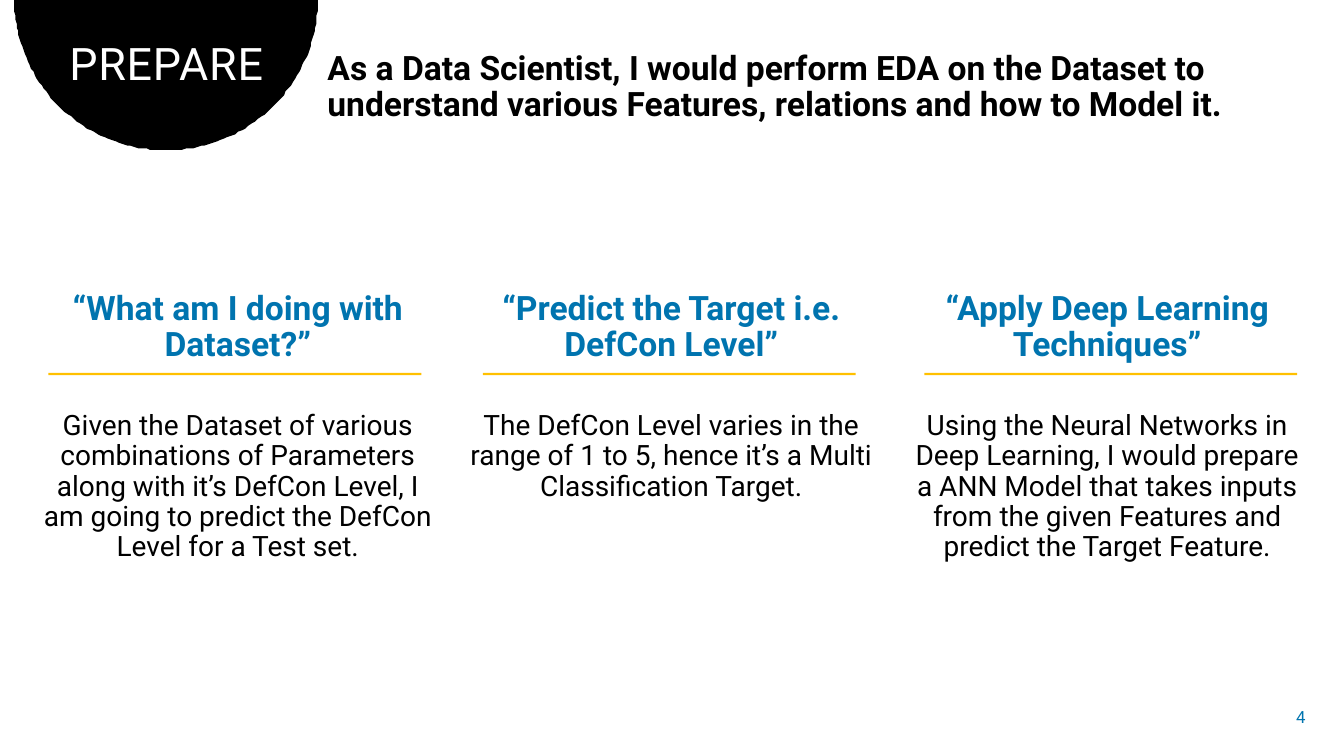
import math

import pptx
import pptx.dml.color
import pptx.enum.shapes
import pptx.enum.text
import pptx.util

Pt = pptx.util.Pt
RGBColor = pptx.dml.color.RGBColor
ALIGN = pptx.enum.text.PP_ALIGN
ANCHOR = pptx.enum.text.MSO_ANCHOR

BLACK = RGBColor(0x00, 0x00, 0x00)
WHITE = RGBColor(0xFF, 0xFF, 0xFF)
BLUE = RGBColor(0x00, 0x74, 0xAF)
GOLD = RGBColor(0xFF, 0xC0, 0x00)

COLUMN_TOP, RULE_TOP, RULE_WIDTH, RULE_HEIGHT = 204.48, 266.4, 266.4, 1.6
COLUMNS = [
    (23.76, 292.32, 34.56, "“What am I doing with Dataset?”",
     "Given the Dataset of various combinations of Parameters along with it’s "
     "DefCon Level, I am going to predict the DefCon Level for a Test set."),
    (328.32, 302.4, 344.88, "“Predict the Target i.e. DefCon Level”",
     "The DefCon Level varies in the range of 1 to 5, hence it’s a Multi "
     "Classification Target."),
    (642.24, 297.36, 660.24, "“Apply Deep Learning Techniques”",
     "Using the Neural Networks in Deep Learning, I would prepare a ANN Model that "
     "takes inputs from the given Features and predict the Target Feature."),
]


class Deck:
    """Holds the style and the current slide, and draws each kind of element."""

    font = "Roboto"

    def __init__(self, width, height):
        self.prs = pptx.Presentation()
        self.prs.slide_width, self.prs.slide_height = Pt(width), Pt(height)
        self.s = self.prs.slides.add_slide(self.prs.slide_layouts[6])

    def paint(self, sp, color):
        sp.shadow.inherit = False
        sp.fill.solid()
        sp.fill.fore_color.rgb = color
        sp.line.fill.background()

    def half_disc(self, cx, cy, radius, color, steps=120):
        start = math.asin(-cy / radius)
        sweep = math.pi - 2 * start
        angles = [start + sweep * i / steps for i in range(steps + 1)]
        points = [(cx + radius * math.cos(a), cy + radius * math.sin(a)) for a in angles]
        builder = self.s.shapes.build_freeform(*points[0], scale=Pt(1))
        builder.add_line_segments(points[1:], close=True)
        self.paint(builder.convert_to_shape(), color)

    def rule(self, x, y, w, h, color):
        kind = pptx.enum.shapes.MSO_SHAPE.RECTANGLE
        self.paint(self.s.shapes.add_shape(kind, Pt(x), Pt(y), Pt(w), Pt(h)), color)

    def text(self, x, y, w, h, paragraphs, anchor=ANCHOR.TOP):
        tf = self.s.shapes.add_textbox(Pt(x), Pt(y), Pt(w), Pt(h)).text_frame
        tf.word_wrap = True
        tf.vertical_anchor = anchor
        for i, (text, color, font, layout) in enumerate(paragraphs):
            p = tf.paragraphs[0] if i == 0 else tf.add_paragraph()
            for name, value in layout.items():
                setattr(p, name, value)
            r = p.add_run()
            r.text = text
            for name, value in {"name": self.font, **font}.items():
                setattr(r.font, name, value)
            r.font.color.rgb = color
        return tf


def main():
    deck = Deck(960, 540)
    deck.half_disc(118.6, -1.3, 108.6, BLACK)

    heading = {"size": Pt(24), "bold": True}
    body = {"size": Pt(20), "bold": False}
    spaced = {"line_spacing": 0.9, "space_before": Pt(10)}
    centred = {**spaced, "alignment": ALIGN.CENTER}
    for x, w, rule_x, question, answer in COLUMNS:
        deck.text(x, COLUMN_TOP, w, 203, [
            (question, BLUE, heading, {**centred, "space_after": Pt(24)}),
            (answer, BLACK, body, {**centred, "space_after": Pt(12)}),
        ])
        deck.rule(rule_x, RULE_TOP, RULE_WIDTH, RULE_HEIGHT, GOLD)

    tf = deck.text(25.2, 26.64, 187.2, 42.48, [
        ("PREPARE", WHITE, {"size": Pt(32)},
         {"alignment": ALIGN.CENTER, "line_spacing": 0.9}),
    ])
    tf.paragraphs[0].runs[0].font._element.set("spc", "60")
    deck.text(226.8, 33.12, 714.96, 59.76, [
        ("As a Data Scientist, I would perform EDA on the Dataset to understand "
         "various Features, relations and how to Model it.", BLACK, heading, spaced),
    ])
    deck.text(900, 497.52, 39.6, 28.8, [
        ("4", BLUE, {"size": Pt(12)}, {"alignment": ALIGN.RIGHT}),
    ], ANCHOR.MIDDLE)
    deck.prs.save("out.pptx")


if __name__ == "__main__":
    main()
